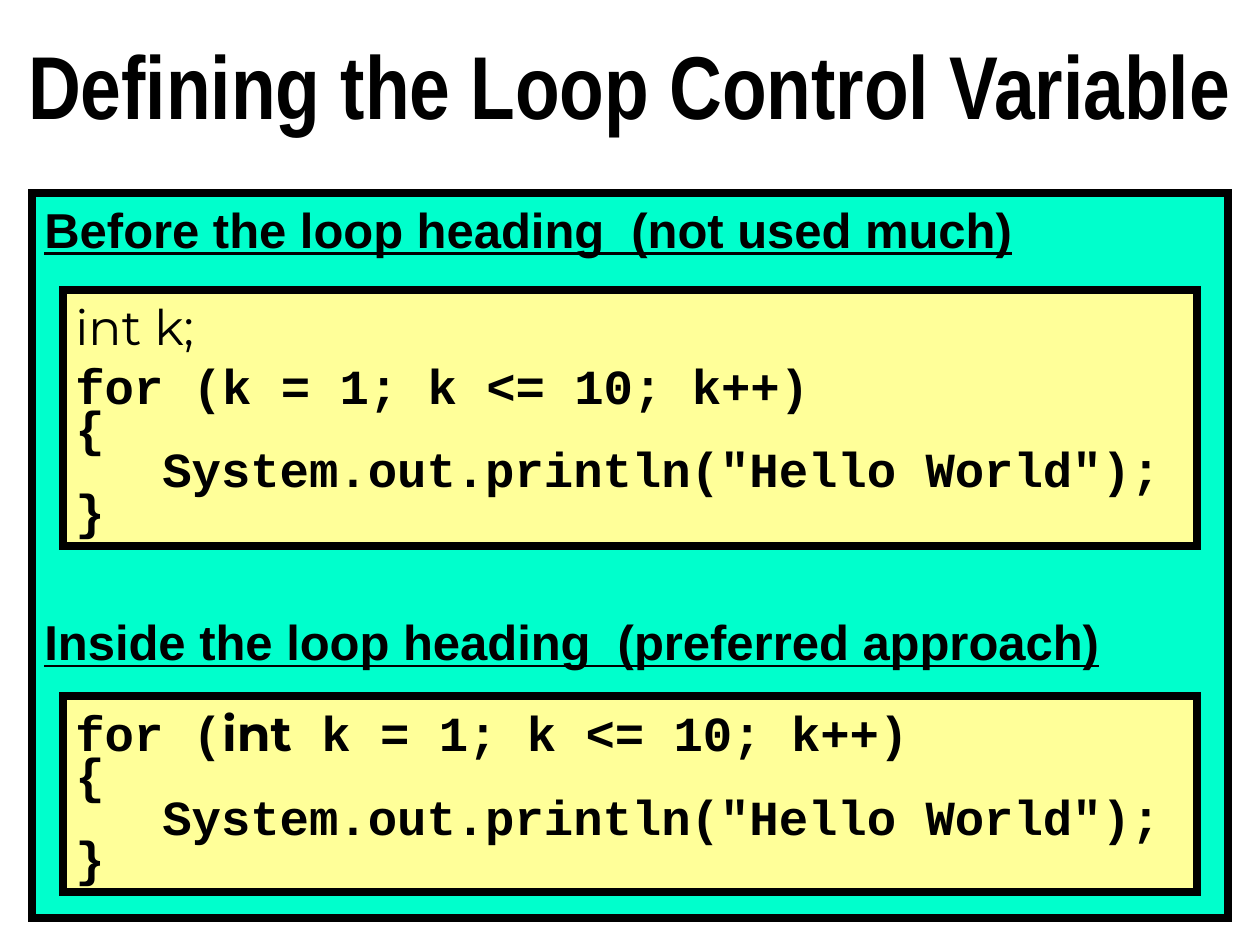
from lxml import etree
from pptx import Presentation
from pptx.dml.color import RGBColor
from pptx.enum.shapes import MSO_SHAPE
from pptx.enum.text import MSO_ANCHOR, PP_ALIGN
from pptx.oxml.ns import qn
from pptx.util import Emu, Pt

RECTANGLE = MSO_SHAPE.RECTANGLE
TOP, MIDDLE = MSO_ANCHOR.TOP, MSO_ANCHOR.MIDDLE
LEFT, CENTER = PP_ALIGN.LEFT, PP_ALIGN.CENTER
SCALE = 914400 // 126
COLORS = {"ink": "000000", "panel": "00FFCC", "code": "FFFF99"}
TITLE = {"name": "Arial Narrow", "size": Pt(51), "bold": True}
HEADING = {"name": "Arial", "size": Pt(28), "bold": True, "underline": True}
CODE = {"name": "Courier New", "size": Pt(28), "bold": True}
DECLARATION = {"name": "Montserrat", "size": Pt(28), "bold": False}
KEYWORD = {**DECLARATION, "bold": True}
TIGHT = {"line_spacing": 0.7}
INDENT = 87
BODY = [
    ([("{", CODE)], TIGHT),
    ([('\tSystem.out.println("Hello World");', CODE)], TIGHT),
    ([("}", CODE)], TIGHT),
]


def px(length):
    """Turn whole pixels into EMU."""
    return Emu(length * SCALE)


def color(name):
    """Look up a named colour."""
    return RGBColor.from_string(COLORS[name])


def apply_format(target, values):
    """Set each attribute named in a dict of format values."""
    for name, value in values.items():
        setattr(target, name, value)


def add_tab_stop(para, position):
    """Give a paragraph one left tab stop."""
    tabs = etree.SubElement(para._p.get_or_add_pPr(), qn("a:tabLst"))
    etree.SubElement(tabs, qn("a:tab"), pos=str(px(position)), algn="l")


def write_lines(box, lines, align=LEFT, anchor=TOP):
    """Fill a box with paragraphs of formatted spans."""
    frame = box.text_frame
    apply_format(frame, {"word_wrap": True, "vertical_anchor": anchor})
    for index, (spans, spacing) in enumerate(lines):
        para = frame.paragraphs[0] if index == 0 else frame.add_paragraph()
        if spans[0][0].startswith("\t"):
            add_tab_stop(para, INDENT)
        apply_format(para, {"alignment": align, **spacing})
        for text, font in spans:
            span = para.add_run()
            span.text = text
            apply_format(span.font, font)
            span.font.color.rgb = color("ink")


def add_title(page, text):
    """Add the centred page title."""
    box = page.shapes.add_textbox(0, 0, px(1260), px(168))
    write_lines(box, [([(text, TITLE)], {})], CENTER, MIDDLE)


def add_panel(page, bounds, fill, lines):
    """Add a thickly outlined, square-cornered rectangle holding text."""
    box = page.shapes.add_shape(RECTANGLE, *map(px, bounds))
    box.shadow.inherit = False
    box.fill.solid()
    box.fill.fore_color.rgb = color(fill)
    box.line.color.rgb = color("ink")
    box.line.width = Pt(4.5)
    outline = box._element.spPr.find(qn("a:ln"))
    etree.SubElement(outline, qn("a:miter"), lim="800000")
    write_lines(box, lines)


def main():
    """Build the slide and save it."""
    deck = Presentation()
    deck.slide_width, deck.slide_height = px(1260), px(945)
    page = deck.slides.add_slide(deck.slide_layouts[6])
    add_title(page, "Defining the Loop Control Variable")
    add_panel(page, (32, 193, 1196, 725), "panel", [
        ([("Before the loop heading  (not used much)", HEADING)], {}),
        ([("Inside the loop heading  (preferred approach)", HEADING)],
         {"space_before": Pt(202)}),
    ])
    add_panel(page, (63, 290, 1134, 256), "code", [
        ([("int k;", DECLARATION)], {}),
        ([("for (k = 1; k <= 10; k++)", CODE)], {}),
        *BODY,
    ])
    add_panel(page, (63, 696, 1134, 196), "code", [
        ([("for (", CODE), ("int", KEYWORD),
          (" k = 1; k <= 10; k++)", CODE)], {}),
        *BODY,
    ])
    deck.save("out.pptx")


if __name__ == "__main__":
    main()
